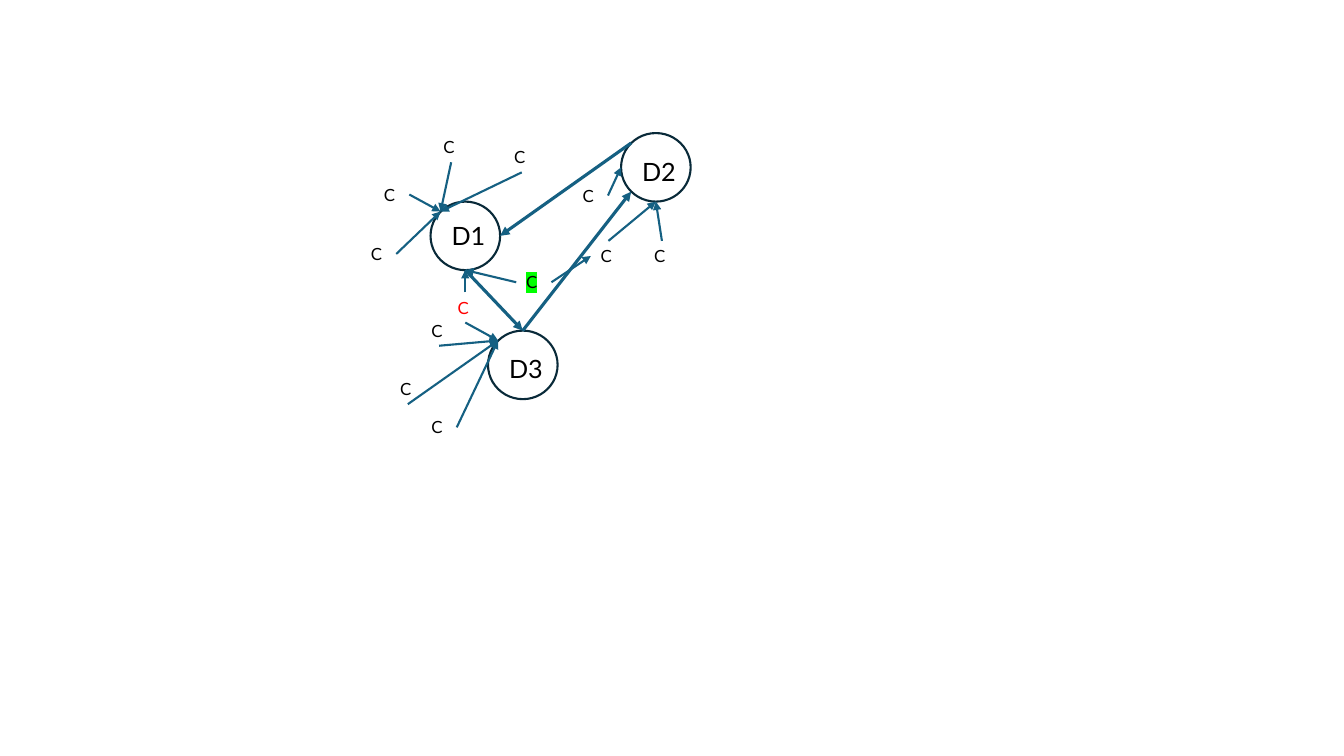
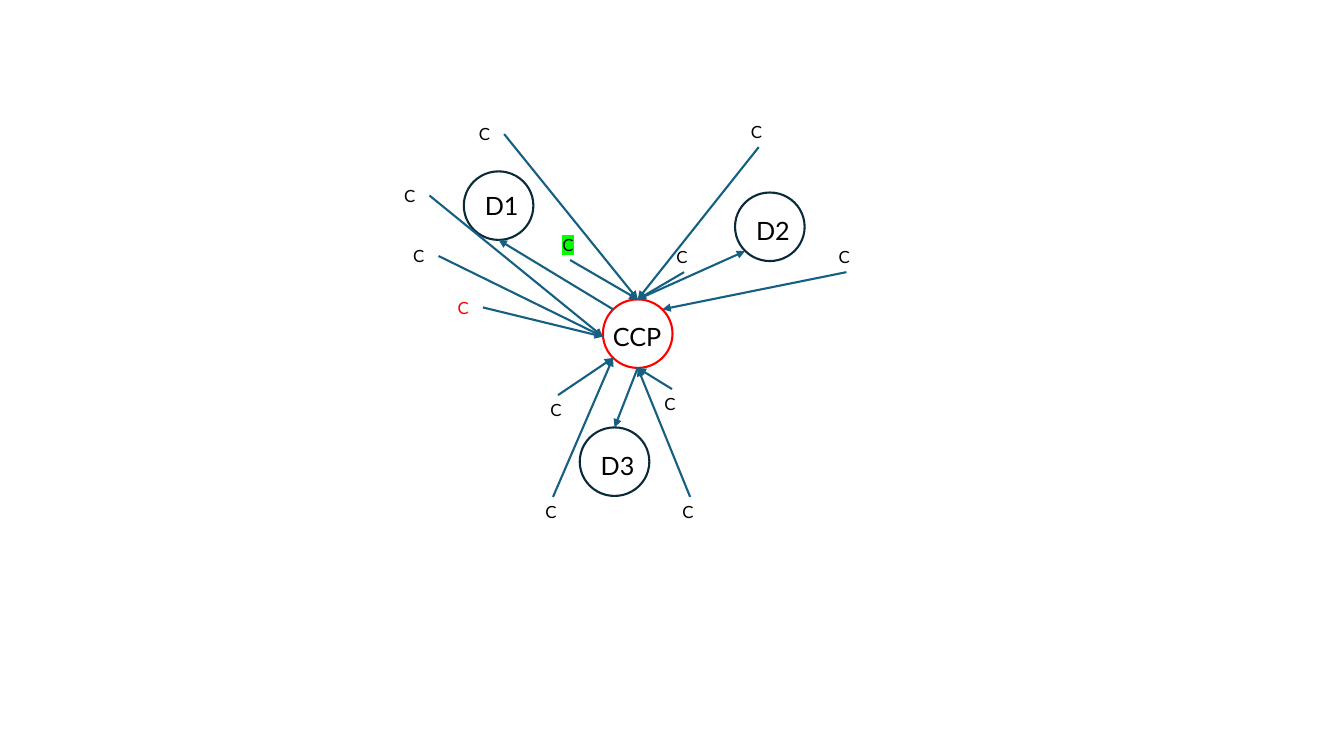
from lxml import etree
from pptx import Presentation
from pptx import util as u
from pptx.dml.color import RGBColor
from pptx.enum import shapes, text
from pptx.oxml.ns import qn

BLACK = RGBColor(0x00, 0x00, 0x00)
RED = RGBColor(0xFF, 0x00, 0x00)
GREEN = RGBColor(0x00, 0xFF, 0x00)
NAVY = RGBColor(0x09, 0x2A, 0x39)
TEAL = RGBColor(0x15, 0x60, 0x82)

FONT = "Lato"
COLUMNS, ROWS = 13.33, 7.5
CELL = u.Inches(1)
NODE_SIZE = (0.69, 0.68)
CLIENT_SIZE = (0.35, 0.3)
CAPTION_HEIGHT = 0.4
THIN, THICK = 1.5, 2.25

DIAGONAL = 0.71
DIRECTIONS = {
    "top": (0, -1),
    "left": (-1, 0),
    "bottom": (0, 1),
    "right": (1, 0),
    "top left": (-DIAGONAL, -DIAGONAL),
    "bottom left": (-DIAGONAL, DIAGONAL),
    "top right": (DIAGONAL, -DIAGONAL),
}
BOX_SITES = {"top": 0, "left": 1, "bottom": 2, "right": 3}

BILATERAL_NODES = [
    ("D1", 4.27, 2.0, 0.14),
    ("D2", 6.16, 1.32, 0.18),
    ("D3", 4.84, 3.28, 0.18),
]
BILATERAL_CLIENTS = {
    "D1 north": (4.3, 1.31),
    "D1 northeast": (5.0, 1.41),
    "D1 northwest": (3.71, 1.78),
    "D1 west": (3.58, 2.37),
    "green": (5.12, 2.65),
    "red": (4.44, 2.9),
    "D3 northwest": (4.18, 3.13),
    "D3 southwest": (4.18, 4.09),
    "D3 west": (3.87, 3.71),
    "D2 southwest": (5.86, 2.39),
    "D2 south": (6.39, 2.39),
    "D2 west": (5.68, 1.79),
}
BILATERAL_ARROWS = [
    ("D3 northwest", "bottom", "D3", "top left"),
    ("D3 southwest", "right", "D3", "top left"),
    ("D3 west", "bottom", "D3", "top left"),
    ("red", "bottom", "D3", "top left"),
    ("red", "top", "D1", "bottom"),
    ("green", "left", "D1", "bottom"),
    ("green", "right", "D2 southwest", "left"),
    ("D1 northeast", "bottom", "D1", "top left"),
    ("D1 north", "bottom", "D1", "top left"),
    ("D1 northwest", "right", "D1", "top left"),
    ("D1 west", "right", "D1", "top left"),
    ("D2 southwest", "top", "D2", "bottom"),
    ("D2 west", "right", "D2", "left"),
    ("D2 south", "top", "D2", "bottom"),
]
DEALER_ARROWS = [
    ("D3", "top", "D2", "bottom left"),
    ("D2", "top left", "D1", "right"),
    ("D1", "bottom", "D3", "top"),
]

CLEARED_NODES = [
    ("D1", 4.6, 1.7, 0.14),
    ("D2", 7.29, 1.91, 0.18),
    ("D3", 5.75, 4.24, 0.18),
]
CLEARED_CLIENTS = {
    "north": (4.65, 1.18),
    "northwest": (3.91, 1.79),
    "west": (4.0, 2.39),
    "green": (5.48, 2.28),
    "red": (4.44, 2.9),
    "near southwest": (5.36, 3.92),
    "far southwest": (5.31, 4.93),
    "near southeast": (6.49, 3.86),
    "far southeast": (6.67, 4.93),
    "near northeast": (6.61, 2.4),
    "far northeast": (7.35, 1.16),
    "east": (8.22, 2.4),
}
CLEARED_ARROWS = [
    ("near southwest", "top", "CCP", "bottom left"),
    ("far southwest", "top", "CCP", "bottom left"),
    ("near southeast", "top", "CCP", "bottom"),
    ("far southeast", "top", "CCP", "bottom"),
    ("CCP", "bottom", "D3", "top"),
    ("CCP", "top", "D2", "bottom left"),
    ("CCP", "top left", "D1", "bottom"),
    ("green", "bottom", "CCP", "top"),
    ("red", "right", "CCP caption", "left"),
    ("west", "right", "CCP caption", "left"),
    ("northwest", "right", "CCP caption", "left"),
    ("north", "right", "CCP", "top"),
    ("near northeast", "bottom", "CCP", "top"),
    ("far northeast", "bottom", "CCP", "top"),
    ("east", "bottom", "CCP", "top right"),
]


def grid(*cells):
    return [round(cell * CELL) for cell in cells]


def add_text(slide, wording, place, size, color=BLACK, highlight=None):
    shape = slide.shapes.add_textbox(*grid(*place))
    frame = shape.text_frame
    frame.word_wrap = True
    frame.auto_size = text.MSO_AUTO_SIZE.SHAPE_TO_FIT_TEXT
    frame.text = wording
    run = frame.paragraphs[0].runs[0]
    run.font.size = u.Pt(size)
    run.font.color.rgb = color
    run.font.name = FONT
    if highlight is not None:
        mark = etree.Element(qn("a:highlight"))
        etree.SubElement(mark, qn("a:srgbClr"), val=str(highlight))
        run._r.get_or_add_rPr().find(qn("a:solidFill")).addnext(mark)
    return shape


def add_node(slide, name, column, row, drop, indent=0.11, width=0.58, outline=NAVY):
    circle = slide.shapes.add_shape(
        shapes.MSO_SHAPE.OVAL, *grid(column, row, *NODE_SIZE))
    circle.shadow.inherit = False
    circle.fill.background()
    circle.line.color.rgb = outline
    circle.line.width = u.Pt(THIN)
    place = (column + indent, row + drop, width, CAPTION_HEIGHT)
    caption = add_text(slide, name, place, 18)
    return {name: circle, f"{name} caption": caption}


def add_client(slide, name, position):
    color = RED if name == "red" else BLACK
    highlight = GREEN if name == "green" else None
    return add_text(slide, "C", (*position, *CLIENT_SIZE), 12, color, highlight)


def side_point(shape, side):
    across, down = DIRECTIONS[side]
    return (round(shape.left + shape.width * (1 + across) / 2),
            round(shape.top + shape.height * (1 + down) / 2))


def is_box(shape):
    return shape.shape_type == shapes.MSO_SHAPE_TYPE.TEXT_BOX


def add_arrow(slide, start, start_side, end, end_side, width):
    arrow = slide.shapes.add_connector(
        shapes.MSO_CONNECTOR.STRAIGHT,
        *side_point(start, start_side), *side_point(end, end_side))
    if is_box(start):
        arrow.begin_connect(start, BOX_SITES[start_side])
    if is_box(end):
        arrow.end_connect(end, BOX_SITES[end_side])
    arrow.line.color.rgb = TEAL
    arrow.line.width = u.Pt(width)
    etree.SubElement(arrow.line._get_or_add_ln(), qn("a:tailEnd"), type="triangle")
    etree.SubElement(arrow._element.spPr, qn("a:effectLst"))


def add_arrows(slide, parts, arrows, width=THIN):
    for start, start_side, end, end_side in arrows:
        add_arrow(slide, parts[start], start_side, parts[end], end_side, width)


def add_network(presentation, nodes, clients):
    slide = presentation.slides.add_slide(presentation.slide_layouts[6])
    parts = {}
    for node in nodes:
        parts.update(add_node(slide, *node))
    for name, position in clients.items():
        parts[name] = add_client(slide, name, position)
    return slide, parts


def main():
    presentation = Presentation()
    presentation.slide_width, presentation.slide_height = grid(COLUMNS, ROWS)

    slide, parts = add_network(presentation, BILATERAL_NODES, BILATERAL_CLIENTS)
    add_arrows(slide, parts, BILATERAL_ARROWS)
    add_arrows(slide, parts, DEALER_ARROWS, THICK)

    slide, parts = add_network(presentation, CLEARED_NODES, CLEARED_CLIENTS)
    parts.update(add_node(slide, "CCP", 5.98, 2.97, 0.17, 0, 0.75, RED))
    add_arrows(slide, parts, CLEARED_ARROWS)

    presentation.save("out.pptx")


if __name__ == "__main__":
    main()
